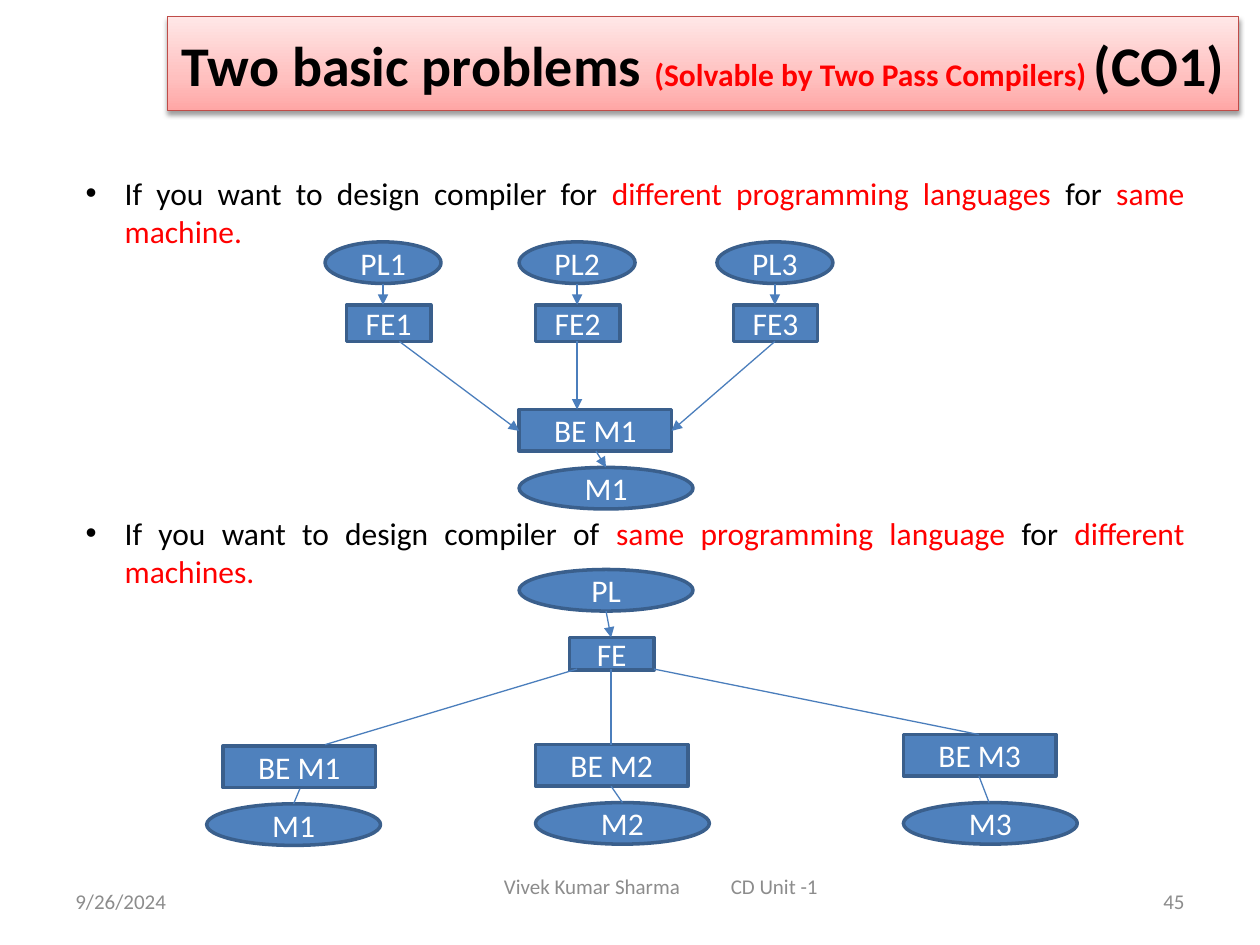
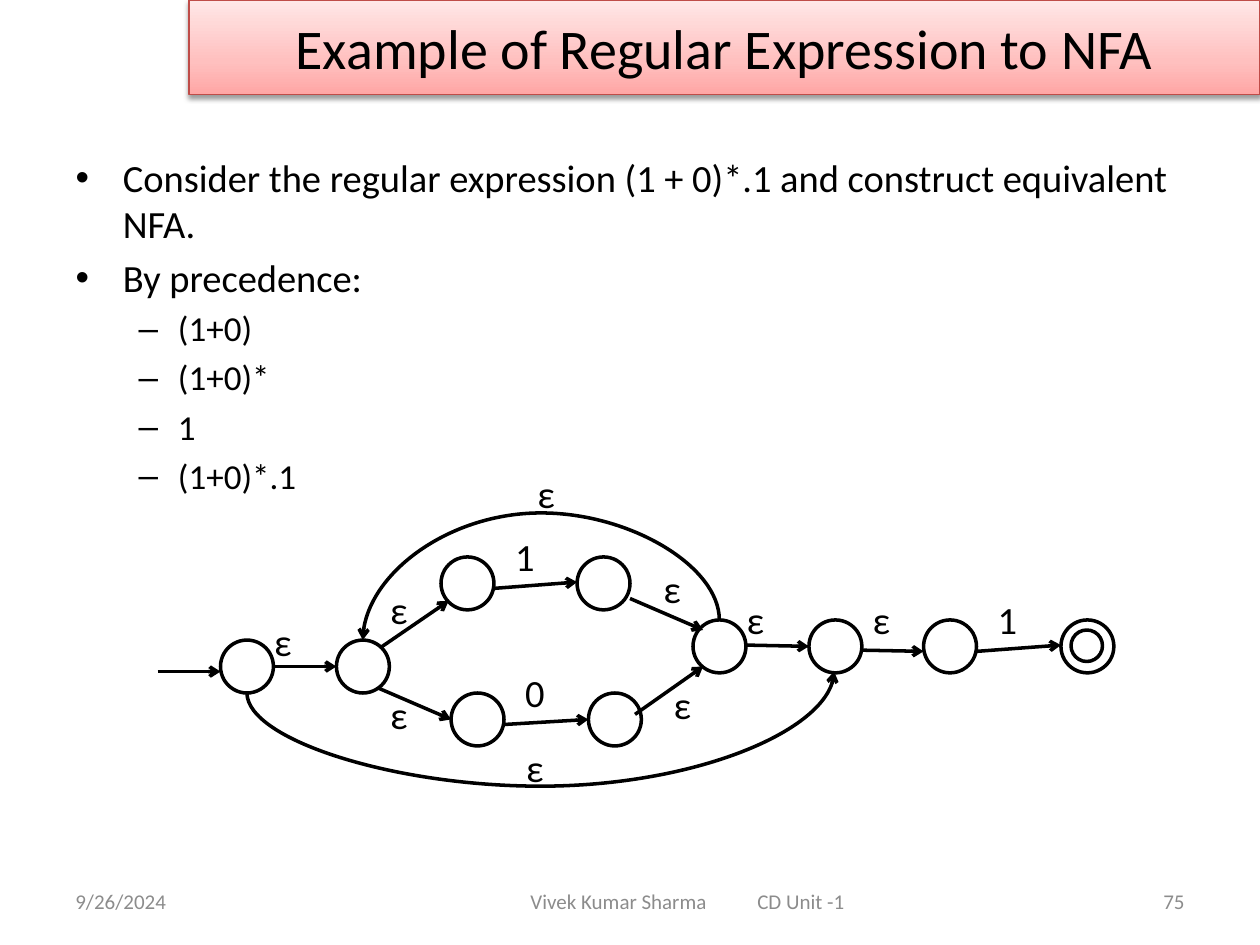
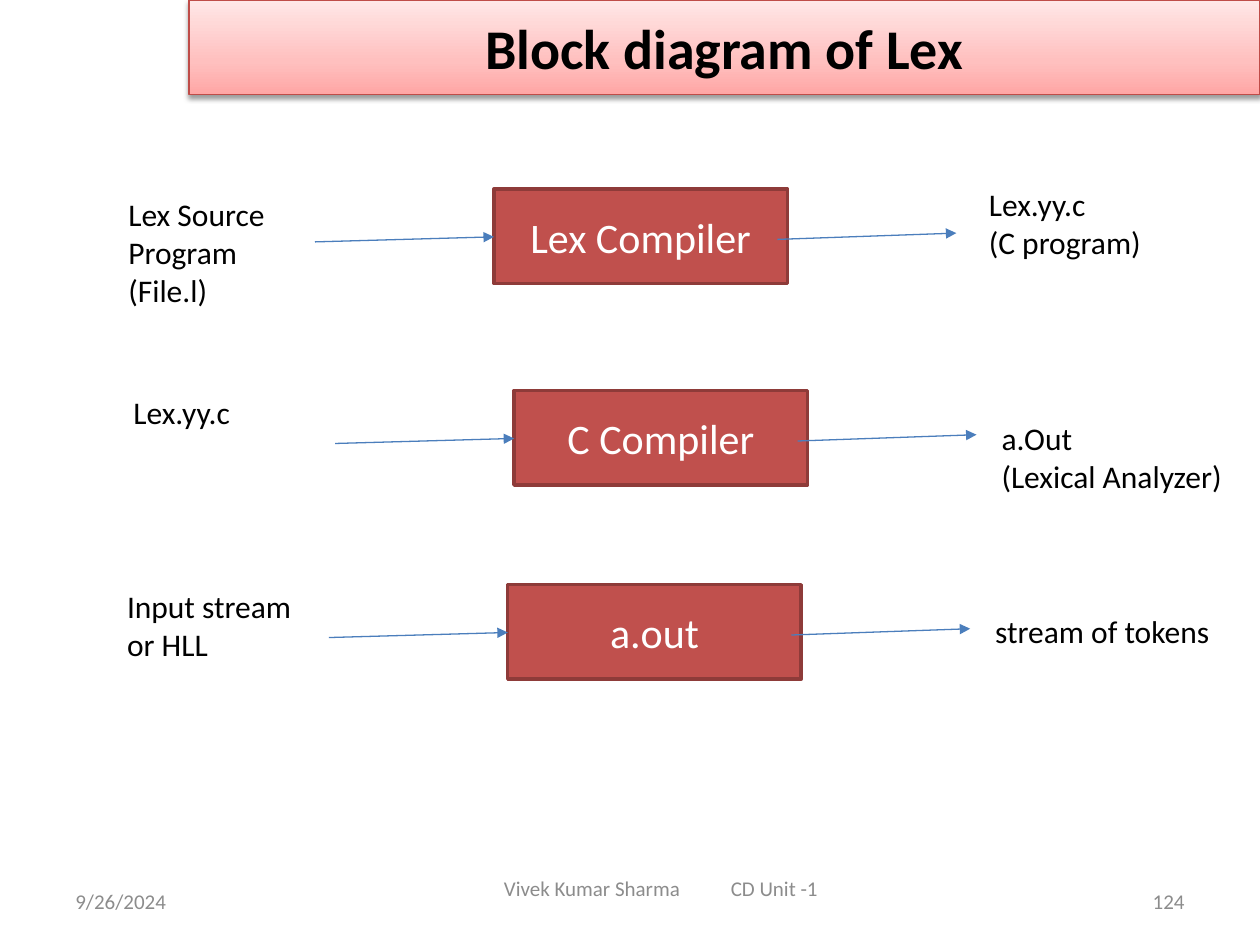
import copy

import lxml.etree
import pptx
import pptx.dml.color
import pptx.enum.shapes
import pptx.enum.text
import pptx.oxml.ns
import pptx.util

Inches = pptx.util.Inches
Pt = pptx.util.Pt
qn = pptx.oxml.ns.qn
ALIGN = pptx.enum.text.PP_ALIGN
ANCHOR = pptx.enum.text.MSO_ANCHOR
SHAPE = pptx.enum.shapes.MSO_SHAPE
CONNECTOR = pptx.enum.shapes.MSO_CONNECTOR

FONT = "Calibri"
BLACK, WHITE, RED, GREY = "000000", "FFFFFF", "FF0000", "8C8C8C"
BLUE, BLUE_EDGE, BLUE_LINE = "4F81BD", "3A5F8C", "4B7EBC"
BRICK, BRICK_EDGE = "C0504D", "8E3B39"
TITLE_EDGE = "BF4C48"
TITLE_STOPS = [(0, "FFA6A5"), (0.35, "FFC0BF"), (1, "FFE7E7")]
FOOTER_TEXT_WIDTH = 2.5
NODE = 0.42


def color(value):
    return pptx.dml.color.RGBColor.from_string(value)


def set_font(font, size, value, bold=None):
    font.name = FONT
    font.size = Pt(size)
    font.bold = bold
    font.color.rgb = color(value)


def add_runs(paragraph, runs):
    for text, value in runs:
        run = paragraph.add_run()
        run.text = text
        run.font.color.rgb = color(value)


def place(shape, left, top, width, height):
    shape.left, shape.top = Inches(left), Inches(top)
    shape.width, shape.height = Inches(width), Inches(height)


def add_text(slide, box, lines, size, value=BLACK, align=ALIGN.LEFT,
             anchor=ANCHOR.TOP, inset=0.1):
    frame = slide.shapes.add_textbox(*map(Inches, box)).text_frame
    frame.word_wrap = True
    frame.vertical_anchor = anchor
    frame.margin_left = frame.margin_right = Inches(inset)
    for index, line in enumerate(lines):
        paragraph = frame.add_paragraph() if index else frame.paragraphs[0]
        paragraph.text = line
        paragraph.alignment = align
        set_font(paragraph.font, size, value)
    return frame


def add_footer(slide, number, left, top, width):
    add_text(slide, (0.5, 6.95, 2.33, 0.4), ["9/26/2024"], 12, GREY,
             anchor=ANCHOR.MIDDLE)
    add_text(slide, (7.17, 6.95, 2.33, 0.4), [str(number)], 12, GREY,
             ALIGN.RIGHT, ANCHOR.MIDDLE)
    frame = add_text(slide, (left, top, width, 0.4), [""], 12, GREY,
                     anchor=ANCHOR.MIDDLE)
    frame.margin_left = Inches((width - FOOTER_TEXT_WIDTH) / 2)
    frame.margin_right = 0
    paragraph = frame.paragraphs[0]
    paragraph.clear()
    properties = paragraph._p.get_or_add_pPr()
    tabs = lxml.etree.Element(qn("a:tabLst"))
    lxml.etree.SubElement(tabs, qn("a:tab"), pos=str(Inches(1.8)), algn="l")
    properties.insert(0, tabs)
    paragraph.add_run().text = "Vivek Kumar Sharma\tCD Unit -1"


def style_title(slide, left, top, bold=None):
    title = slide.shapes.title
    place(title, left, top, 8.5, 0.75)
    title.fill.gradient()
    title.fill.gradient_angle = 90
    properties = title.element.spPr
    stop_list = properties.find(".//" + qn("a:gsLst"))
    stop_list.append(copy.deepcopy(stop_list[-1]))
    for stop, (position, value) in zip(title.fill.gradient_stops, TITLE_STOPS):
        stop.position = position
        stop.color.rgb = color(value)
    title.line.color.rgb = color(TITLE_EDGE)
    title.line.width = Pt(0.75)
    effects = lxml.etree.SubElement(properties, qn("a:effectLst"))
    shadow = lxml.etree.SubElement(
        effects, qn("a:outerShdw"), blurRad=str(Pt(3.1)), dist=str(Pt(1.6)),
        dir="5400000", rotWithShape="0")
    shade = lxml.etree.SubElement(shadow, qn("a:srgbClr"), val=BLACK)
    lxml.etree.SubElement(shade, qn("a:alpha"), val="38000")
    frame = title.text_frame
    frame.auto_size = pptx.enum.text.MSO_AUTO_SIZE.NONE
    frame.vertical_anchor = ANCHOR.MIDDLE
    paragraph = frame.paragraphs[0]
    paragraph.alignment = ALIGN.CENTER
    set_font(paragraph.font, 32, BLACK, bold)
    return paragraph


def prepare_body(slide, box):
    body = slide.placeholders[1]
    place(body, *box)
    body.text_frame.auto_size = pptx.enum.text.MSO_AUTO_SIZE.NONE
    return body.text_frame


def add_block(slide, kind, box, text, size=18, fill=BLUE, edge=BLUE_EDGE):
    shape = slide.shapes.add_shape(kind, *map(Inches, box))
    shape.shadow.inherit = False
    shape.fill.solid()
    shape.fill.fore_color.rgb = color(fill)
    shape.line.color.rgb = color(edge)
    shape.line.width = Pt(2)
    frame = shape.text_frame
    frame.margin_left = frame.margin_right = 0
    frame.margin_top = frame.margin_bottom = 0
    frame.vertical_anchor = ANCHOR.MIDDLE
    paragraph = frame.paragraphs[0]
    paragraph.text = text
    paragraph.alignment = ALIGN.CENTER
    set_font(paragraph.font, size, WHITE)


def add_line(slide, start, end, head=None, value=BLUE_LINE, width=0.75,
             kind=CONNECTOR.STRAIGHT):
    connector = slide.shapes.add_connector(
        kind, *map(Inches, (*start, *end)))
    connector.line.color.rgb = color(value)
    connector.line.width = Pt(width)
    properties = connector.element.spPr
    if head:
        lxml.etree.SubElement(properties.find(qn("a:ln")), qn("a:tailEnd"),
                              type=head)
    lxml.etree.SubElement(properties, qn("a:effectLst"))
    return connector


def add_edge(slide, start, end):
    add_line(slide, start, end, "arrow", BLACK, 2)


def add_curved_edge(slide, start, end, peak):
    center_x, center_y = (start[0] + end[0]) / 2, (start[1] + end[1]) / 2
    half_width = abs(end[1] - start[1]) / 2
    half_height = abs(end[0] - start[0]) / 2
    connector = add_line(
        slide, (center_x + half_width, center_y + half_height),
        (center_x - half_width, center_y - half_height),
        "arrow", BLACK, 2, CONNECTOR.CURVE)
    properties = connector.element.spPr
    turn = 90 if end[0] > start[0] else 270
    properties.find(qn("a:xfrm")).set("rot", str(turn * 60000))
    bend = round((peak - start[1]) / (end[1] - start[1]) * 100000)
    geometry = properties.find(qn("a:prstGeom"))
    adjustments = geometry.find(qn("a:avLst"))
    if adjustments is None:
        adjustments = lxml.etree.SubElement(geometry, qn("a:avLst"))
    lxml.etree.SubElement(adjustments, qn("a:gd"), name="adj1",
                          fmla=f"val {bend}")


def add_state(slide, left, top, size=NODE):
    state = slide.shapes.add_shape(
        SHAPE.OVAL, *map(Inches, (left, top, size, size)))
    state.shadow.inherit = False
    state.fill.background()
    state.line.color.rgb = color(BLACK)
    state.line.width = Pt(2)


def build_problems(presentation):
    slide = presentation.slides.add_slide(presentation.slide_layouts[1])
    title = style_title(slide, 1.33, 0.13, True)
    add_runs(title, [("Two basic problems ", BLACK),
                     ("(Solvable by Two Pass Compilers) ", RED),
                     ("(CO1)", BLACK)])
    title.runs[1].font.size = Pt(18)
    frame = prepare_body(slide, (0.58, 1.33, 8.92, 3.43))
    problems = [
        (0, [("If you want to design compiler for ", BLACK),
             ("different programming languages ", RED),
             ("for ", BLACK), ("same machine.", RED)]),
        (151, [("If you want to design compiler of ", BLACK),
               ("same programming language ", RED),
               ("for ", BLACK), ("different machines.", RED)]),
    ]
    for index, (space, runs) in enumerate(problems):
        paragraph = frame.add_paragraph() if index else frame.paragraphs[0]
        properties = paragraph._p.get_or_add_pPr()
        properties.set("marL", str(Inches(0.31)))
        properties.set("indent", str(Inches(-0.31)))
        paragraph.alignment = ALIGN.JUSTIFY
        paragraph.space_before = Pt(space)
        set_font(paragraph.font, 18, BLACK)
        add_runs(paragraph, runs)

    front_ends = [(3.04, 2.75), (4.58, 4.25), (6.15, 5.82)]
    for number, (middle, left) in enumerate(front_ends, 1):
        add_block(slide, SHAPE.OVAL, (middle - 0.46, 1.92, 0.92, 0.33),
                  f"PL{number}")
        add_block(slide, SHAPE.RECTANGLE, (left, 2.42, 0.67, 0.29),
                  f"FE{number}")
        add_line(slide, (middle, 2.25), (middle, 2.42), "triangle")

    back_ends = [(4.12, 3.25, 4.12, 3.71, "M1"), (1.77, 5.92, 1.64, 6.38, "M1"),
                 (4.25, 5.91, 4.25, 6.37, "M2"), (7.17, 5.83, 7.17, 6.37, "M3")]
    for left, top, machine_left, machine_top, machine in back_ends:
        add_block(slide, SHAPE.RECTANGLE, (left, top, 1.21, 0.33),
                  f"BE {machine}")
        add_block(slide, SHAPE.OVAL, (machine_left, machine_top, 1.38, 0.33),
                  machine)
    add_block(slide, SHAPE.OVAL, (4.12, 4.52, 1.38, 0.33), "PL")
    add_block(slide, SHAPE.RECTANGLE, (4.52, 5.06, 0.67, 0.26), "FE")

    arrows = [((3.17, 2.71), (4.12, 3.42)), ((4.58, 2.71), (4.58, 3.25)),
              ((6.15, 2.71), (5.33, 3.42)), ((4.73, 3.58), (4.81, 3.71)),
              ((4.81, 4.85), (4.85, 5.06))]
    for start, end in arrows:
        add_line(slide, start, end, "triangle")
    links = [((2.38, 6.26), (2.33, 6.38)), ((4.94, 6.37), (4.85, 6.24)),
             ((7.85, 6.37), (7.77, 6.16)), ((2.58, 5.91), (4.58, 5.31)),
             ((4.85, 5.91), (4.85, 5.31)), ((7.77, 5.83), (5.19, 5.31))]
    for start, end in links:
        add_line(slide, start, end)
    add_footer(slide, 45, 2.5, 6.83, 5.5)


def build_automaton(presentation):
    slide = presentation.slides.add_slide(presentation.slide_layouts[1])
    title = style_title(slide, 1.5, 0)
    title.add_run().text = "Example of Regular Expression to NFA"
    frame = prepare_body(slide, (0.5, 1.17, 9, 5.53))
    items = [
        (0, "Consider the regular expression (1 + 0)*.1 and construct "
            "equivalent NFA."),
        (0, "By precedence:"),
        (1, "(1+0)"), (1, "(1+0)*"), (1, "1"), (1, "(1+0)*.1"),
    ]
    for index, (level, text) in enumerate(items):
        paragraph = frame.add_paragraph() if index else frame.paragraphs[0]
        paragraph.text = text
        paragraph.level = level
        set_font(paragraph.font, 20 if level else 22, BLACK)
    frame.paragraphs[0].space_before = Pt(0)

    states = [(1.75, 5.08), (2.67, 5.08), (3.5, 4.42), (4.58, 4.42),
              (3.58, 5.5), (4.67, 5.5), (5.5, 4.92), (6.42, 4.92),
              (7.33, 4.92), (8.42, 4.92)]
    for left, top in states:
        add_state(slide, left, top)
    add_state(slide, 8.5, 5, 0.25)

    edges = [((1.25, 5.33), (1.75, 5.33)), ((2.17, 5.29), (2.67, 5.29)),
             ((3.02, 5.14), (3.56, 4.77)), ((3, 5.46), (3.58, 5.71)),
             ((3.92, 4.67), (4.58, 4.62)), ((4, 5.75), (4.67, 5.71)),
             ((5, 4.75), (5.58, 5)), ((5.04, 5.67), (5.58, 5.29)),
             ((5.92, 5.12), (6.42, 5.13)), ((6.83, 5.16), (7.33, 5.17)),
             ((7.75, 5.17), (8.42, 5.12))]
    for start, end in edges:
        add_edge(slide, start, end)
    add_curved_edge(slide, (1.96, 5.5), (6.62, 5.33), 6.24)
    add_curved_edge(slide, (5.71, 4.92), (2.88, 5.08), 4.07)

    labels = {
        "1": [(4, 4.25), (7.83, 4.75)],
        "0": [(4.08, 5.33)],
        "ε": [(2.08, 4.92), (3, 4.67), (3, 5.5), (5.17, 4.5), (5.25, 5.42),
              (5.83, 4.75), (6.83, 4.75), (4.08, 5.92), (4.17, 3.75)],
    }
    for symbol, corners in labels.items():
        for left, top in corners:
            add_text(slide, (left, top, 0.33, 0.33), [symbol], 22,
                     align=ALIGN.CENTER, anchor=ANCHOR.MIDDLE, inset=0)
    add_footer(slide, 75, 2.42, 6.95, 6.08)


def add_stage(slide, left, top, text):
    add_block(slide, SHAPE.RECTANGLE, (left, top, 2.33, 0.75), text, 24,
              BRICK, BRICK_EDGE)
    add_line(slide, (left - 1.42, top + 0.42), (left, top + 0.38), "triangle")
    add_line(slide, (left + 2.25, top + 0.4), (left + 3.67, top + 0.35),
             "triangle")


def build_lex(presentation):
    slide = presentation.slides.add_slide(presentation.slide_layouts[5])
    title = style_title(slide, 1.5, 0, True)
    title.add_run().text = "Block diagram of Lex"
    stages = [(3.92, 1.5, "Lex Compiler"), (4.08, 3.1, "C Compiler"),
              (4.03, 4.64, "a.out")]
    for left, top, text in stages:
        add_stage(slide, left, top, text)
    labels = [
        ((0.92, 1.5, 1.58, 1.01), ["Lex Source Program", "(File.l)"]),
        ((7.75, 1.42, 1.5, 0.71), ["Lex.yy.c", "(C program)"]),
        ((0.96, 3.07, 1.58, 0.4), ["Lex.yy.c"]),
        ((7.85, 3.28, 1.98, 0.71), ["a.Out", "(Lexical Analyzer)"]),
        ((0.91, 4.61, 1.58, 0.71), ["Input stream or HLL"]),
        ((7.8, 4.81, 1.98, 0.4), ["stream of tokens"]),
    ]
    for box, lines in labels:
        add_text(slide, box, lines, 18)
    add_footer(slide, 124, 2.5, 6.85, 5.5)


def main():
    presentation = pptx.Presentation()
    presentation.slide_width = Inches(10)
    presentation.slide_height = Inches(7.5)
    build_problems(presentation)
    build_automaton(presentation)
    build_lex(presentation)
    presentation.save("out.pptx")


if __name__ == "__main__":
    main()
